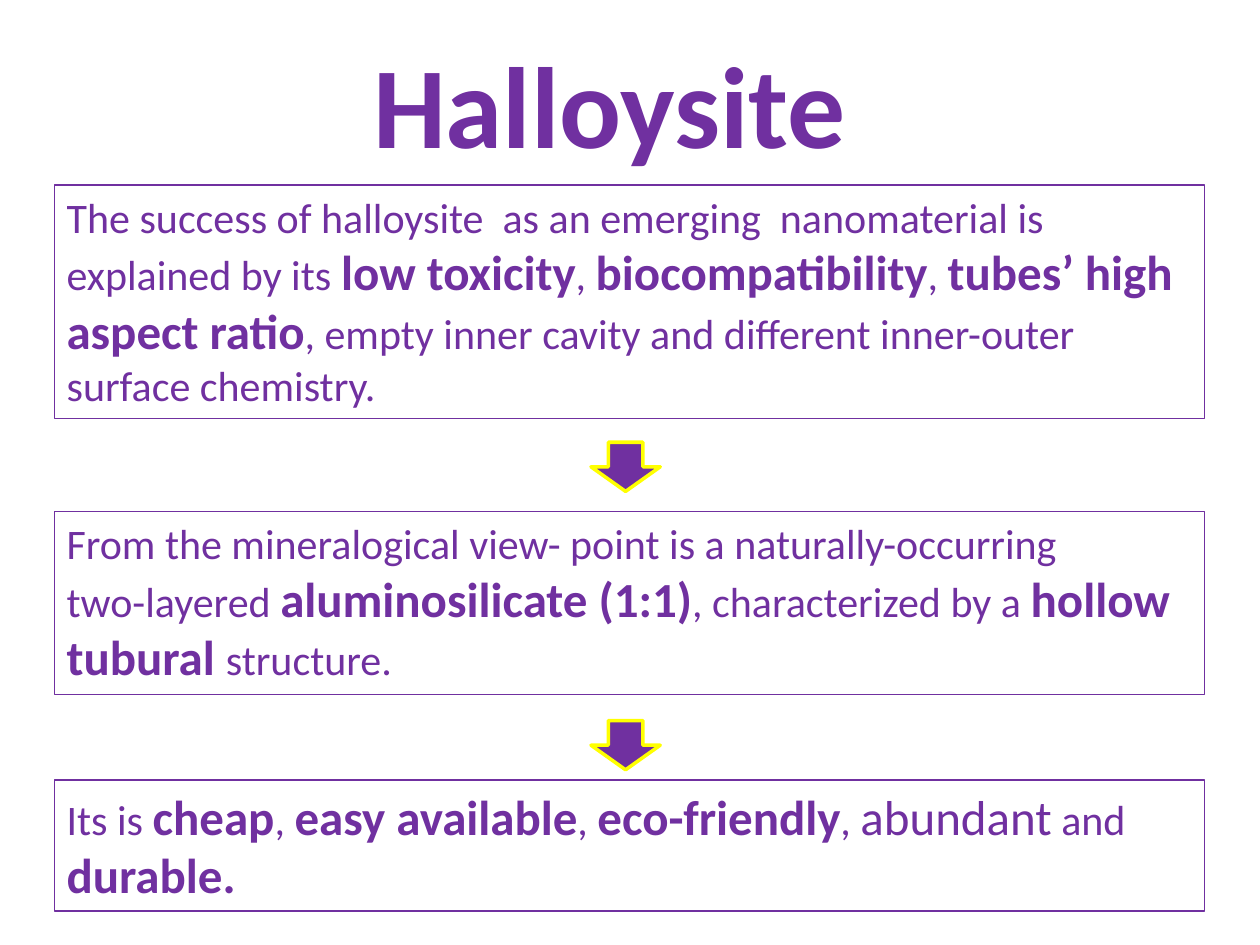
from lxml.etree import SubElement
from pptx import Presentation
from pptx.dml.color import RGBColor
from pptx.enum.shapes import MSO_SHAPE
from pptx.enum.text import MSO_ANCHOR, PP_ALIGN
from pptx.oxml.ns import qn
from pptx.util import Pt

# Content: each box has a top, a height and paragraphs of (text, style) runs
PURPLE, YELLOW, WHITE = "7030A0", "FFFF00", "FFFFFF"
PLAIN = dict(size=24)
LARGE = dict(size=28)
STRONG = dict(size=28, bold=True)

TITLE = "Halloysite"
BOXES = [
    (105.8, 133.2, None, [[
        ("The success of halloysite  as an emerging  nanomaterial is explained by its ", PLAIN),
        ("low toxicity", STRONG), (", ", PLAIN),
        ("biocompatibility", STRONG), (", ", PLAIN),
        ("tubes’ high aspect ratio", STRONG),
        (", empty inner cavity and different inner-outer surface chemistry.", PLAIN),
    ]]),
    (292.3, 104.4, WHITE, [
        [("From the mineralogical view- point is a naturally-occurring", PLAIN)],
        [("two-layered ", PLAIN), ("aluminosilicate (1:1)", STRONG),
         (", characterized by a ", PLAIN), ("hollow tubural ", STRONG),
         ("structure.", PLAIN)],
    ]),
    (445.7, 74.9, None, [[
        ("Its is ", PLAIN), ("cheap", STRONG), (", ", PLAIN),
        ("easy available", STRONG), (", ", PLAIN),
        ("eco-friendly", STRONG), (", ", PLAIN),
        ("abundant", LARGE), (" and ", PLAIN), ("durable.", STRONG),
    ]]),
]
ARROW_TOPS = [252.7, 411.8]
BOX_LEFT, BOX_WIDTH = 31, 657.4
ARROW_LEFT, ARROW_WIDTH, ARROW_HEIGHT = 337.7, 39.6, 28.1


def color(hex_code):
    return RGBColor.from_string(hex_code)


def add_text(paragraph, text, size=24, bold=False, ink=PURPLE):
    run = paragraph.add_run()
    run.text = text
    run.font.name = "Calibri"
    run.font.size = Pt(size)
    run.font.bold = bold
    run.font.color.rgb = color(ink)
    return run


def paint(shape, fill, line=None, weight=0.75):
    if fill:
        shape.fill.solid()
        shape.fill.fore_color.rgb = color(fill)
    else:
        shape.fill.background()
    if line:
        shape.line.color.rgb = color(line)
        shape.line.width = Pt(weight)


def outline_letters(run, ink, weight):
    properties = run.font._element
    outline = SubElement(properties, qn("a:ln"), w=str(Pt(weight)))
    SubElement(SubElement(outline, qn("a:solidFill")), qn("a:srgbClr"), val=ink)
    properties.insert(0, outline)


presentation = Presentation()
presentation.slide_width, presentation.slide_height = Pt(720), Pt(540)
slide = presentation.slides.add_slide(presentation.slide_layouts[5])

# Title
title = slide.shapes.title
title.left, title.top, title.width, title.height = Pt(127.4), Pt(15.1), Pt(442), Pt(87.1)
paint(title, WHITE)
title.text_frame.vertical_anchor = MSO_ANCHOR.TOP
heading = title.text_frame.paragraphs[0]
heading.alignment = PP_ALIGN.CENTER
outline_letters(add_text(heading, TITLE, size=66, bold=True), YELLOW, 2.48)

# Text boxes
for top, height, fill, paragraphs in BOXES:
    box = slide.shapes.add_textbox(Pt(BOX_LEFT), Pt(top), Pt(BOX_WIDTH), Pt(height))
    paint(box, fill, PURPLE)
    frame = box.text_frame
    frame.word_wrap = True
    for number, runs in enumerate(paragraphs):
        paragraph = frame.add_paragraph() if number else frame.paragraphs[0]
        for text, style in runs:
            add_text(paragraph, text, **style)

# Arrows between the boxes
for top in ARROW_TOPS:
    arrow = slide.shapes.add_shape(MSO_SHAPE.DOWN_ARROW, Pt(ARROW_LEFT), Pt(top),
                                   Pt(ARROW_WIDTH), Pt(ARROW_HEIGHT))
    arrow.shadow.inherit = False
    paint(arrow, PURPLE, YELLOW, 2)

presentation.save("out.pptx")
